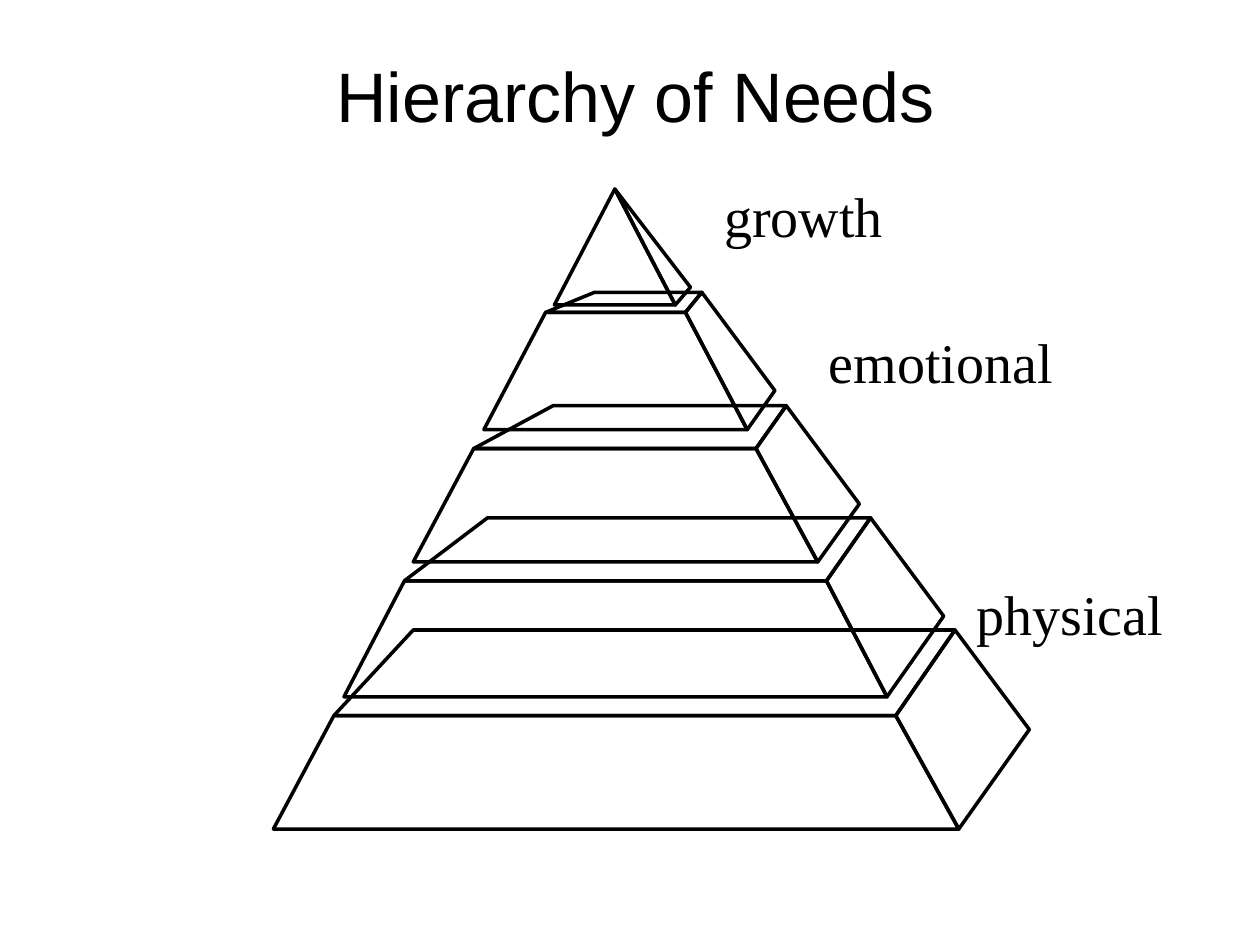
from collections import namedtuple

from pptx import Presentation
from pptx.dml.color import RGBColor
from pptx.enum.text import MSO_AUTO_SIZE as AutoSize
from pptx.util import Inches, Pt

COLORS = {"ink": "000000", "paper": "FFFFFF"}
PAGE_GRID = (100, 75)
PYRAMID_GRID = (60, 50.8)

Box = namedtuple("Box", "left top width height")
Tier = namedtuple("Tier", "top bottom back side")
Edge = namedtuple("Edge", "left right row")

TIERS = [
    Tier(Edge(4.8, 49.4, 41.8), Edge(0, 54.4, 50.8), Edge(11.1, 54.1, 35), (60, 42.9)),
    Tier(Edge(10.4, 43.9, 31.1), Edge(5.6, 48.7, 40.3), Edge(17, 47.4, 26.1), (53.2, 33.9)),
    Tier(Edge(15.9, 38.3, 20.6), Edge(11.1, 43.2, 29.6), Edge(22.2, 40.7, 17.2), (46.5, 25)),
    Tier(Edge(21.6, 32.7, 9.8), Edge(16.7, 37.6, 19.1), Edge(25.5, 34, 8.2), (39.8, 16)),
]
APEX = (27.1, 0)
CAP_BASE = Edge(22.3, 31.9, 9.2)
CAP_SIDE = (33.1, 7.8)

LABELS = [
    ("growth", (56.5, 13.9, 14.6, 6.3)),
    ("emotional", (64.8, 25.5, 19.8, 6.3)),
    ("physical", (76.5, 45.5, 16.8, 6.3)),
]


def color(name):
    return RGBColor.from_string(COLORS[name])


def grid_box(deck, left, top, width, height):
    column = deck.slide_width / PAGE_GRID[0]
    row = deck.slide_height / PAGE_GRID[1]
    return Box(*map(round, (left * column, top * row, width * column, height * row)))


def add_face(page, box, corners):
    column = box.width / PYRAMID_GRID[0]
    row = box.height / PYRAMID_GRID[1]
    points = [(round(box.left + x * column), round(box.top + y * row)) for x, y in corners]
    builder = page.shapes.build_freeform(*points[0], scale=1.0)
    builder.add_line_segments(points[1:], close=True)
    face = builder.convert_to_shape()
    face.shadow.inherit = False
    face.fill.background()
    face.line.color.rgb = color("ink")
    face.line.width = Pt(2)


def ends(edge):
    return (edge.left, edge.row), (edge.right, edge.row)


def add_tier(page, box, tier):
    top_left, top_right = ends(tier.top)
    bottom_left, bottom_right = ends(tier.bottom)
    back_left, back_right = ends(tier.back)
    add_face(page, box, [bottom_right, top_right, back_right, tier.side])
    add_face(page, box, [top_left, top_right, back_right, back_left])
    add_face(page, box, [top_left, top_right, bottom_right, bottom_left])


def add_cap(page, box):
    base_left, base_right = ends(CAP_BASE)
    add_face(page, box, [base_right, CAP_SIDE, APEX])
    add_face(page, box, [base_left, base_right, APEX])


def add_pyramid(page, box):
    for tier in TIERS:
        add_tier(page, box, tier)
    add_cap(page, box)


def add_text(page, box, text, font_name, size):
    frame = page.shapes.add_textbox(*box).text_frame
    frame.text = text
    frame.word_wrap = False
    frame.auto_size = AutoSize.SHAPE_TO_FIT_TEXT
    font = frame.paragraphs[0].runs[0].font
    font.name = font_name
    font.size = Pt(size)
    font.color.rgb = color("ink")


def main():
    deck = Presentation()
    deck.slide_width, deck.slide_height = Inches(10), Inches(7.5)
    page = deck.slides.add_slide(deck.slide_layouts[6])
    page.background.fill.solid()
    page.background.fill.fore_color.rgb = color("paper")
    add_pyramid(page, grid_box(deck, 21.7, 15, *PYRAMID_GRID))
    add_text(page, grid_box(deck, 25.7, 3.7, 49.5, 7.6), "Hierarchy of Needs", "Arial", 40)
    for text, place in LABELS:
        add_text(page, grid_box(deck, *place), text, "Times New Roman", 32)
    deck.save("out.pptx")


if __name__ == "__main__":
    main()
